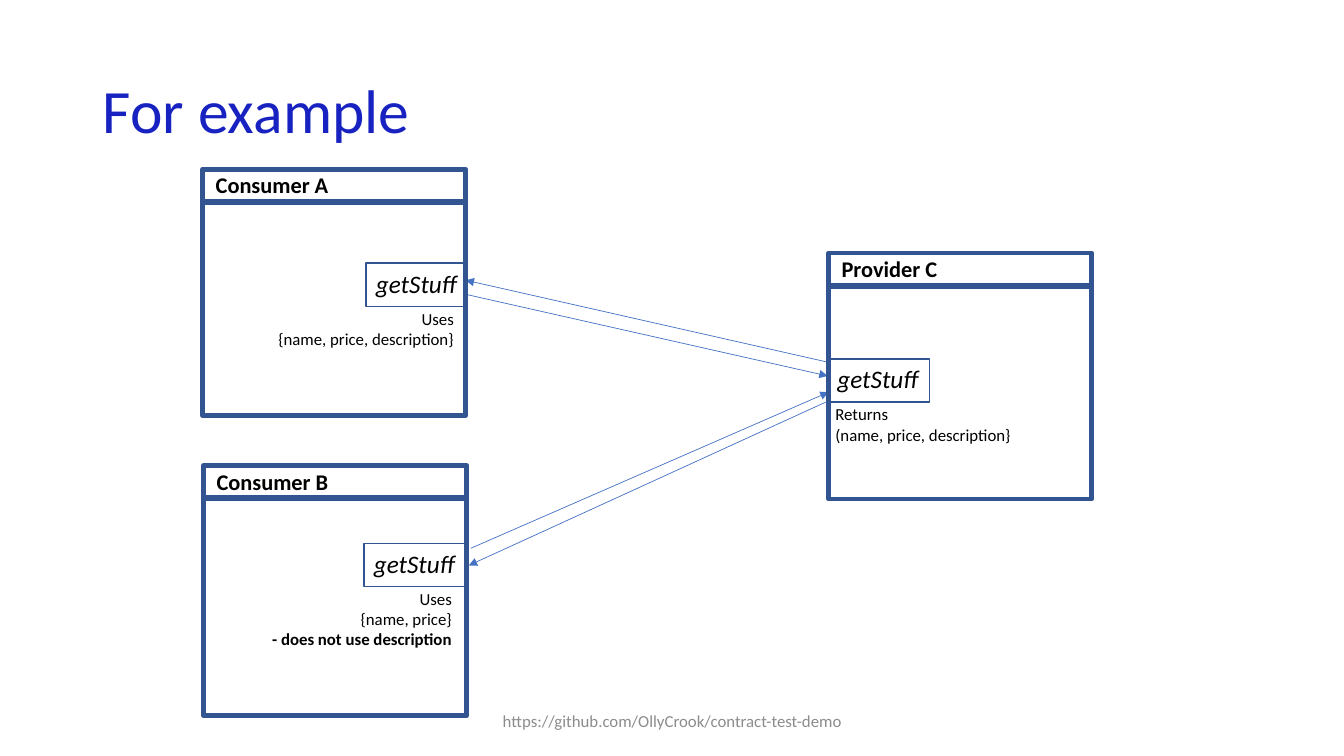
from lxml.etree import SubElement
from pptx import Presentation
from pptx.dml.color import RGBColor
from pptx.enum.shapes import MSO_CONNECTOR, MSO_SHAPE
from pptx.enum.text import MSO_ANCHOR, PP_ALIGN
from pptx.oxml.ns import qn
from pptx.util import Inches, Pt

TITLE = RGBColor(0x18, 0x22, 0xC0)
EDGE = RGBColor(0x32, 0x54, 0x91)
ARROW = RGBColor(0x44, 0x72, 0xC4)
BLACK = RGBColor(0, 0, 0)
GREY = RGBColor(0x8C, 0x8C, 0x8C)
FONT = "Calibri"

# The slide is a grid of 100 columns by 100 rows
WIDE, HIGH = Inches(13.33), Inches(7.5)
CARD_W, HEAD_H, BODY_DY = 19.58, 4.4, 4.27
SLOT_W, SLOT_H = 7.58, 5.73
NOTE_W, NOTE_H, NOTE_DY = 16.13, 9.5, 5.33


def grid(x, y, w, h):
    return [round(n * size / 100) for n, size in
            ((x, WIDE), (y, HIGH), (w, WIDE), (h, HIGH))]


def write(frame, text, size=12, color=BLACK, bold=False, italic=False,
          align=PP_ALIGN.LEFT, anchor=MSO_ANCHOR.TOP, wrap=True, space=None):
    frame.word_wrap = wrap
    frame.vertical_anchor = anchor
    for i, line in enumerate(text.split("\n")):
        para = frame.paragraphs[0] if i == 0 else frame.add_paragraph()
        para.alignment = align
        para.line_spacing = space
        run = para.add_run()
        run.text = line
        font = run.font
        font.name, font.size = FONT, Pt(size)
        font.bold, font.italic = bold, italic
        font.color.rgb = color


def label(slide, box, text, **style):
    frame = slide.shapes.add_textbox(*grid(*box)).text_frame
    write(frame, text, **style)
    return frame


def frame_box(slide, box, width):
    shape = slide.shapes.add_shape(MSO_SHAPE.RECTANGLE, *grid(*box))
    shape.shadow.inherit = False
    shape.fill.background()
    shape.line.color.rgb = EDGE
    shape.line.width = Pt(width)
    return shape


def arrow(slide, x1, y1, x2, y2):
    line = slide.shapes.add_connector(
        MSO_CONNECTOR.STRAIGHT, *grid(x1, y1, x2, y2))
    line.line.color.rgb = ARROW
    line.line.width = Pt(0.5)
    props = line.line._get_or_add_ln()
    SubElement(props, qn("a:tailEnd"), type="triangle")
    SubElement(props.getparent(), qn("a:effectLst"))
    return line


def card(slide, x, y, height, name, slot, note, align):
    """Service box with a header, a method slot and a note under the slot."""
    body = frame_box(slide, (x, y + BODY_DY, CARD_W, height), 3.5)
    label(slide, (x + 0.23, y - 0.4, CARD_W, 4.93), name, size=16, bold=True)
    frame_box(slide, (x, y, CARD_W, HEAD_H), 3.5)

    left, top = x + slot[0], y + slot[1]
    place = (left, top, SLOT_W, SLOT_H)
    label(slide, place, "getStuff", size=18, italic=True, wrap=False)
    frame_box(slide, place, 1)

    shift = SLOT_W - NOTE_W - 0.3 if align == PP_ALIGN.RIGHT else -0.15
    notes = label(slide, (left + shift, top + NOTE_DY, NOTE_W, NOTE_H),
                  note, align=align)
    return body, notes


def heading(slide, box, text):
    title = slide.shapes.title
    title.left, title.top, title.width, title.height = grid(*box)
    write(title.text_frame, text, size=44, color=TITLE,
          anchor=MSO_ANCHOR.MIDDLE, space=0.9)


def main():
    deck = Presentation()
    deck.slide_width, deck.slide_height = WIDE, HIGH
    slide = deck.slides.add_slide(deck.slide_layouts[5])
    heading(slide, (6.9, 5.33, 86.25, 19.33), "For example")

    # Calls and replies, behind the cards
    ends = ((34.65, 38.93, 61.58, 49.73), (61.5, 47.87, 34.65, 37.07),
            (61.43, 53.2, 34.88, 74.8), (35.03, 72.53, 61.65, 51.87))
    lines = [arrow(slide, *end) for end in ends]

    # Services
    body, _ = card(slide, 61.65, 33.47, 28.27, "Provider C", (-0.08, 14),
                   "Returns\n(name, price, description}", PP_ALIGN.LEFT)
    lines[-1].end_connect(body, 1)
    card(slide, 15.08, 22.4, 28.27, "Consumer A", (12.15, 12.4),
         "Uses\n{name, price, description}", PP_ALIGN.RIGHT)
    _, notes = card(slide, 15.15, 61.6, 28.8, "Consumer B", (11.93, 10.27),
                    "Uses\n{name, price}\n- does not use description",
                    PP_ALIGN.RIGHT)
    notes.paragraphs[-1].runs[0].font.bold = True

    # Footer
    label(slide, (33.15, 92.67, 33.75, 5.33),
          "https://github.com/OllyCrook/contract-test-demo", color=GREY,
          align=PP_ALIGN.CENTER, anchor=MSO_ANCHOR.MIDDLE)
    deck.save("out.pptx")


if __name__ == "__main__":
    main()
